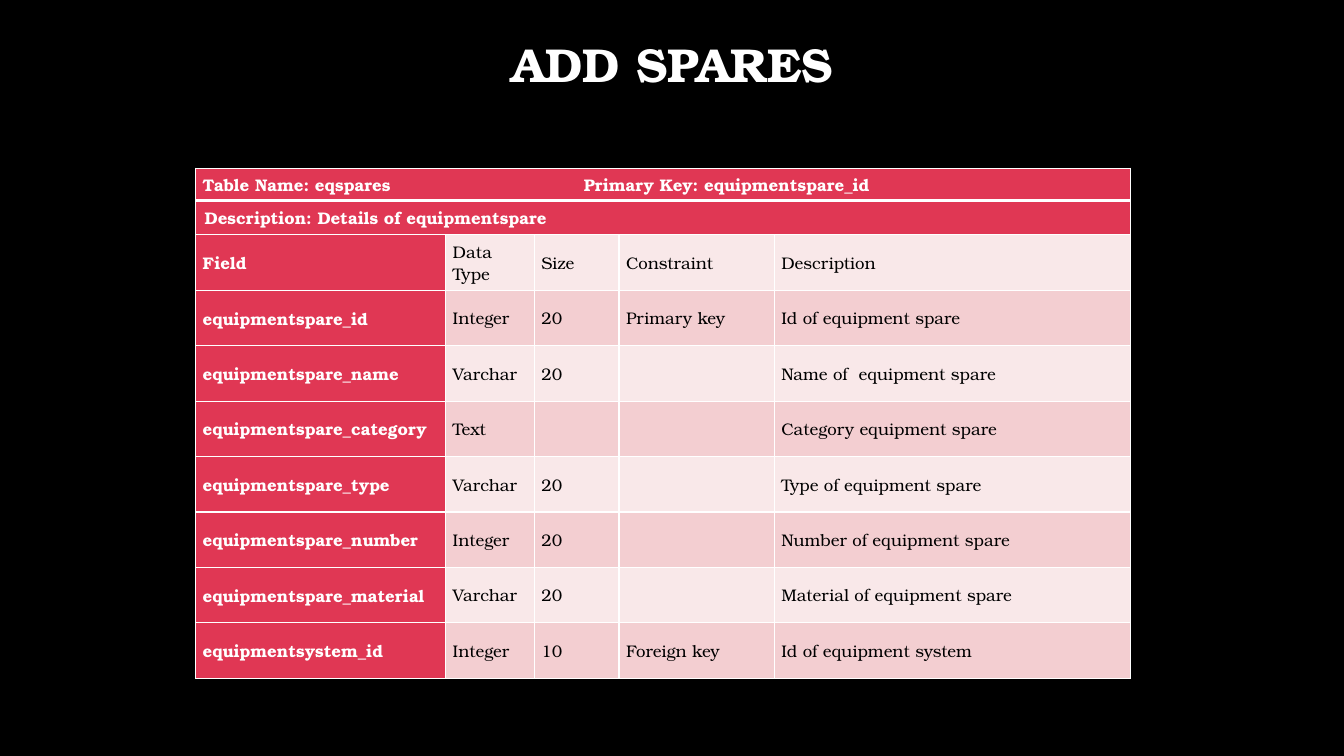
from lxml import etree
from pptx import Presentation
from pptx import util as u
from pptx.dml.color import RGBColor
from pptx.enum import text
from pptx.oxml import ns

FONT = "TeX Gyre Bonum"
WHITE, BLACK, RED = "FFFFFF", "000000", "E03754"
BANDS = ("F9E8E9", "F3CED1")
COLUMNS = (2.48, 0.88, 0.84, 1.54, 3.53)
BANNER_HEIGHTS = (0.32, 0.34)
FIELD_HEIGHT = 0.55
PRIMARY_KEY_TAB = 3.78
BANNERS = (
    "Table Name: eqspares\tPrimary Key: equipmentspare_id",
    "Description: Details of equipmentspare",
)
FIELDS = (
    ("Field", "Data Type", "Size", "Constraint", "Description"),
    ("equipmentspare_id", "Integer", "20", "Primary key", "Id of equipment spare"),
    ("equipmentspare_name", "Varchar", "20", "", "Name of  equipment spare"),
    ("equipmentspare_category", "Text", "", "", "Category equipment spare"),
    ("equipmentspare_type", "Varchar", "20", "", "Type of equipment spare"),
    ("equipmentspare_number", "Integer", "20", "", "Number of equipment spare"),
    ("equipmentspare_material", "Varchar", "20", "", "Material of equipment spare"),
    ("equipmentsystem_id", "Integer", "10", "Foreign key", "Id of equipment system"),
)


def rgb(value):
    return RGBColor.from_string(value)


def write(p, words, size, color, bold):
    r = p.add_run()
    r.text = words
    for name, value in dict(name=FONT, size=u.Pt(size), bold=bold).items():
        setattr(r.font, name, value)
    r.font.color.rgb = rgb(color)


def add_borders(cell, widths):
    """Draw white cell edges; widths maps L, R, T and B to points."""
    props = cell._tc.get_or_add_tcPr()
    for place, (side, width) in enumerate(widths.items()):
        line = etree.Element(ns.qn(f"a:ln{side}"), w=str(u.Pt(width)))
        fill = etree.SubElement(line, ns.qn("a:solidFill"))
        etree.SubElement(fill, ns.qn("a:srgbClr"), val=WHITE)
        props.insert(place, line)


def add_tab(p, inches):
    tabs = etree.SubElement(p._p.get_or_add_pPr(), ns.qn("a:tabLst"))
    etree.SubElement(tabs, ns.qn("a:tab"), pos=str(u.Inches(inches)), algn="l")


def fill_cell(cell, words, fill, color, bold):
    margins = dict(margin_left=0.07, margin_right=0.07, margin_top=0, margin_bottom=0)
    for name, value in margins.items():
        setattr(cell, name, u.Inches(value))
    cell.vertical_anchor = text.MSO_ANCHOR.MIDDLE
    cell.fill.solid()
    cell.fill.fore_color.rgb = rgb(fill)
    if words:
        write(cell.text_frame.paragraphs[0], words, 12, color, bold)


def add_title(s, left, top, width, height):
    box = s.shapes.add_textbox(*map(u.Inches, (left, top, width, height)))
    tf = box.text_frame
    tf.word_wrap = True
    tf.vertical_anchor = text.MSO_ANCHOR.MIDDLE
    p = tf.paragraphs[0]
    p.alignment = text.PP_ALIGN.CENTER
    p.line_spacing = 0.9
    write(p, "ADD SPARES", 34, WHITE, True)


def add_field_table(s, left, top):
    heights = BANNER_HEIGHTS + (FIELD_HEIGHT,) * len(FIELDS)
    size = (left, top, sum(COLUMNS), sum(heights))
    table = s.shapes.add_table(len(heights), len(COLUMNS), *map(u.Inches, size)).table
    for column, width in zip(table.columns, COLUMNS):
        column.width = u.Inches(width)
    for row, height in zip(table.rows, heights):
        row.height = u.Inches(height)

    for i, words in enumerate(BANNERS):
        table.cell(i, 0).merge(table.cell(i, len(COLUMNS) - 1))
        fill_cell(table.cell(i, 0), words, RED, WHITE, True)
    add_tab(table.cell(0, 0).text_frame.paragraphs[0], PRIMARY_KEY_TAB)
    table.cell(1, 0).text_frame.paragraphs[0]._p.get_or_add_pPr().set(
        "indent", str(u.Inches(0.02)))

    for i, field in enumerate(FIELDS):
        for j, words in enumerate(field):
            look = (RED, WHITE, True) if j == 0 else (BANDS[i % 2], BLACK, False)
            fill_cell(table.cell(i + len(BANNERS), j), words, *look)

    for i, row in enumerate(table.rows):
        for cell in row.cells:
            add_borders(cell, dict(L=1, R=1, T=3 if i == 1 else 1, B=3 if i == 0 else 1))


def main():
    prs = Presentation()
    prs.slide_width, prs.slide_height = u.Inches(13.33), u.Inches(7.5)
    s = prs.slides.add_slide(prs.slide_layouts[6])
    s.background.fill.solid()
    s.background.fill.fore_color.rgb = rgb(BLACK)
    add_title(s, 1.01, 0.22, 11.32, 0.9)
    add_field_table(s, 1.94, 1.67)
    prs.save("out.pptx")


if __name__ == "__main__":
    main()
